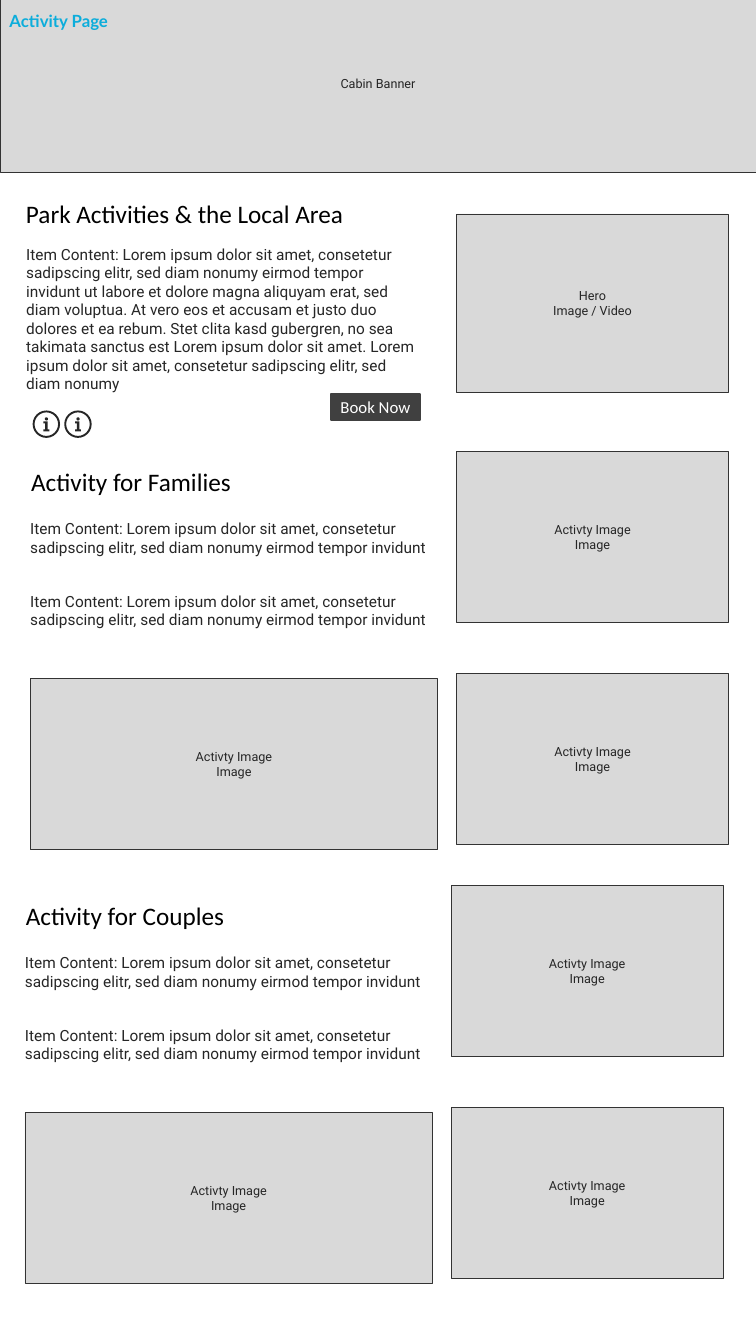
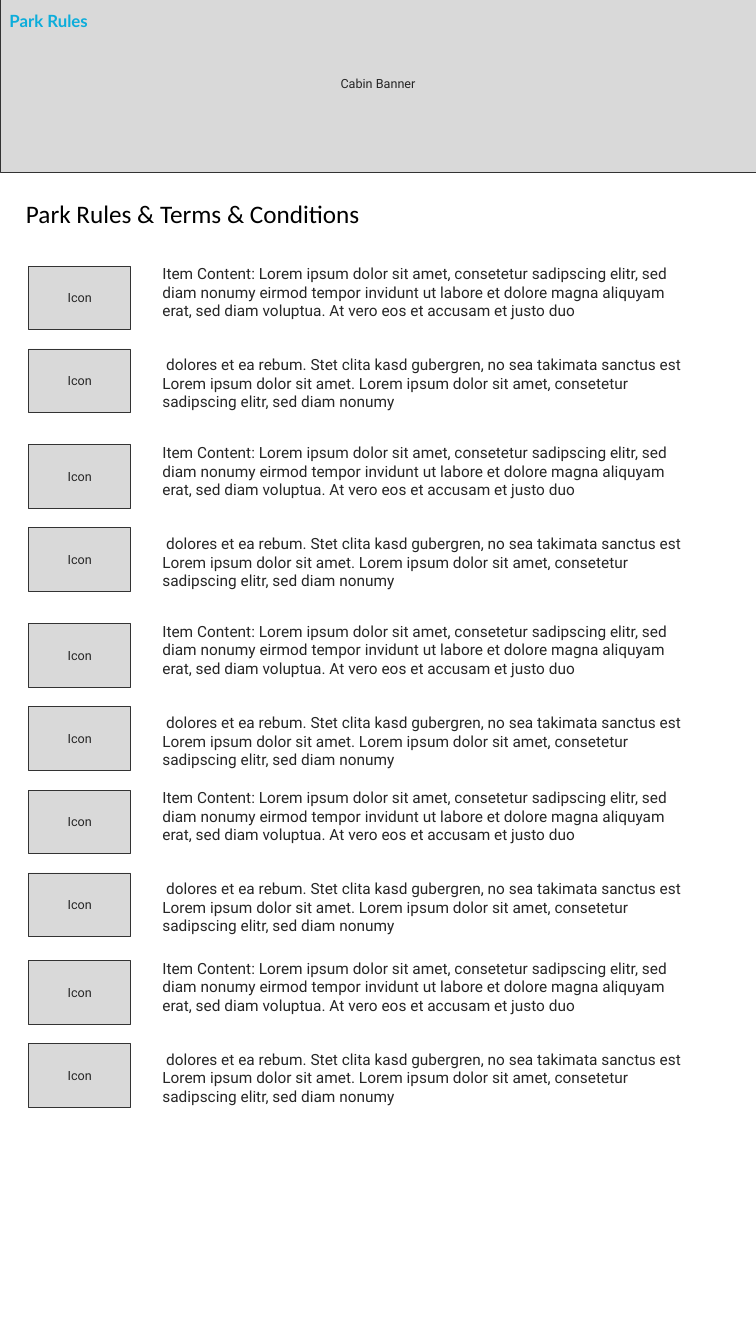
from dataclasses import dataclass

from pptx import Presentation
from pptx.dml.color import RGBColor
from pptx.enum import shapes, text
from pptx.util import Pt


# Theme
@dataclass(frozen=True)
class Theme:
    panel: str = "D9D9D9"
    outline: str = "333333"
    ink: str = "262626"
    button: str = "404040"
    # Type styles: font, size, colour, bold
    tag: tuple = ("Lato", 12, "0CADDB", True)
    heading: tuple = ("Calibri", 18, "000000", False)
    body: tuple = ("Roboto", 11, "262626", False)
    label: tuple = ("Roboto", 9, "262626", False)
    action: tuple = ("Calibri", 12, "FFFFFF", False)
    item_gap: float = 25.4


THEME = Theme()
PAGE_W, PAGE_H = 540, 960

# Content: activity page
SHORT_ITEM = ("Item Content: Lorem ipsum dolor sit amet, consetetur sadipscing elitr, "
              "sed diam nonumy eirmod tempor invidunt")
RULE_ITEM = SHORT_ITEM + (" ut labore et dolore magna aliquyam erat, sed diam voluptua. "
                          "At vero eos et accusam et justo duo")
RULE_DETAIL = (" dolores et ea rebum. Stet clita kasd gubergren, no sea takimata sanctus est "
               "Lorem ipsum dolor sit amet. Lorem ipsum dolor sit amet, consetetur "
               "sadipscing elitr, sed diam nonumy")
HERO_LABEL = ["Hero", "Image / Video"]
ACTIVITY_LABEL = ["Activty Image", "Image"]
ACTIVITIES = [  # heading, left, top
    ("Activity for Families", 21.6, 322.6),
    ("Activity for Couples", 17.8, 632.4),
]
INFO_LEFTS = (23.3, 45.9)
INFO_TOP, INFO_SIZE = 293.2, 19.6
INFO_STEM = [(7.8, 7.8), (10.8, 7.8), (10.8, 13.6), (12, 13.6), (12, 15),
             (7.8, 15), (7.8, 13.6), (9, 13.6), (9, 9.2), (7.8, 9.2)]

# Content: rules page
RULE_TOPS = (190, 317.7, 445.5, 564.3, 686)
RULE_PITCH = 59.2


# Building blocks
def write(frame, paragraphs, style, align, inset=(7.2, 3.6), gap=0):
    font, size, color, bold = style
    frame.word_wrap = True
    frame.margin_left = frame.margin_right = Pt(inset[0])
    frame.margin_top = frame.margin_bottom = Pt(inset[1])
    for index, words in enumerate(paragraphs):
        paragraph = frame.paragraphs[0] if index == 0 else frame.add_paragraph()
        paragraph.alignment = align
        if index < len(paragraphs) - 1:
            paragraph.space_after = Pt(gap)
        run = paragraph.add_run()
        run.text = words
        run.font.name, run.font.size, run.font.bold = font, Pt(size), bold
        run.font.color.rgb = RGBColor.from_string(color)


def paint(shape, fill, line=None, weight=0.5):
    shape.shadow.inherit = False
    shape.fill.solid()
    shape.fill.fore_color.rgb = RGBColor.from_string(fill)
    if line:
        shape.line.color.rgb = RGBColor.from_string(line)
        shape.line.width = Pt(weight)
    else:
        shape.line.fill.background()


def add_preset(slide, kind, box):
    return slide.shapes.add_shape(kind, *map(Pt, box))


def add_panel(slide, box, label):
    panel = add_preset(slide, shapes.MSO_SHAPE.RECTANGLE, box)
    paint(panel, THEME.panel, THEME.outline)
    panel.text_frame.vertical_anchor = text.MSO_ANCHOR.MIDDLE
    write(panel.text_frame, label, THEME.label, text.PP_ALIGN.CENTER)


def add_text(slide, box, paragraphs, style, inset=(7.2, 3.6), gap=0):
    frame = slide.shapes.add_textbox(*map(Pt, box)).text_frame
    write(frame, paragraphs, style, text.PP_ALIGN.LEFT, inset, gap)


def add_heading(slide, left, top, words):
    add_text(slide, (left, top, 330, 29), [words], THEME.heading)


def add_items(slide, box, items):
    add_text(slide, box, items, THEME.body, (0, 0), THEME.item_gap)


def add_page(deck, tag, heading):
    slide = deck.slides.add_slide(deck.slide_layouts[6])
    add_panel(slide, (0, -3.6, PAGE_W, 126.7), ["Cabin Banner"])
    add_text(slide, (1.4, 5, 199, 19.5), [tag], THEME.tag, (5.4, 2.7))
    add_heading(slide, 11.5, 138.3, heading)
    return slide


def add_button(slide, box, words):
    button = add_preset(slide, shapes.MSO_SHAPE.RECTANGLE, box)
    paint(button, THEME.button, THEME.button, 1.5)
    button.text_frame.vertical_anchor = text.MSO_ANCHOR.MIDDLE
    write(button.text_frame, [words], THEME.action, text.PP_ALIGN.CENTER, (3.6, 3.6))


def add_info_icon(slide, left, top):
    ring = add_preset(slide, shapes.MSO_SHAPE.DONUT, (left, top, INFO_SIZE, INFO_SIZE))
    ring.adjustments[0] = 0.07
    dot = add_preset(slide, shapes.MSO_SHAPE.OVAL, (left + 8.7, top + 4.9, 2.3, 2.3))
    corners = [(Pt(left + x), Pt(top + y)) for x, y in INFO_STEM]
    builder = slide.shapes.build_freeform(*corners[0])
    builder.add_line_segments(corners[1:], close=True)
    for part in (ring, dot, builder.convert_to_shape()):
        paint(part, THEME.ink)


def add_activity(slide, heading, left, top):
    image_left, image_w, image_h = left + 304.6, 194, 122
    add_heading(slide, left - 6.4, top + 7.2, heading)
    add_items(slide, (left, top + 48.5, 304.6, 98), [SHORT_ITEM, SHORT_ITEM])
    for box in ((image_left, top, image_w, image_h),
                (left, top + 162.3, 291, image_h),
                (image_left, top + 158.6, image_w, image_h)):
        add_panel(slide, box, ACTIVITY_LABEL)


# Pages
def build_activity_page(deck):
    slide = add_page(deck, "Activity Page", "Park Activities & the Local Area")
    add_items(slide, (18.7, 175, 280, 106.5), [RULE_ITEM + RULE_DETAIL])
    add_panel(slide, (326.2, 152.8, 194, 127.4), HERO_LABEL)
    add_button(slide, (236.2, 281.5, 64, 18.7), "Book Now")
    for left in INFO_LEFTS:
        add_info_icon(slide, left, INFO_TOP)
    for activity in ACTIVITIES:
        add_activity(slide, *activity)


def build_rules_page(deck):
    slide = add_page(deck, "Park Rules", "Park Rules & Terms & Conditions")
    for top in RULE_TOPS:
        for row in range(2):
            add_panel(slide, (20.6, top + row * RULE_PITCH, 72.6, 45.5), ["Icon"])
        add_items(slide, (116, top - 1.1, 376, 105), [RULE_ITEM, RULE_DETAIL])


def main():
    deck = Presentation()
    deck.slide_width, deck.slide_height = Pt(PAGE_W), Pt(PAGE_H)
    build_activity_page(deck)
    build_rules_page(deck)
    deck.save("out.pptx")


if __name__ == "__main__":
    main()
